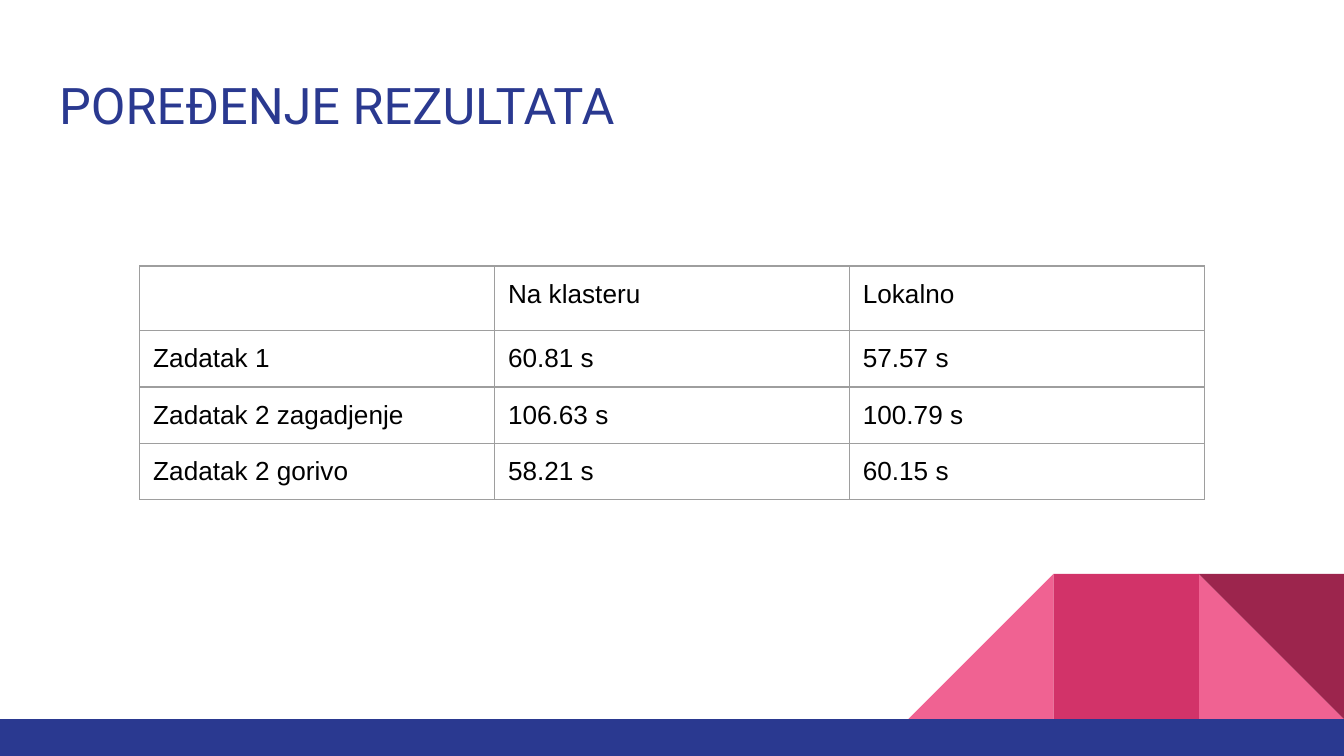
from lxml.etree import SubElement
from pptx import Presentation
from pptx.dml.color import RGBColor
from pptx.enum.shapes import MSO_SHAPE as Shape
from pptx.enum.text import MSO_ANCHOR as Anchor, PP_ALIGN as Align
from pptx.oxml.ns import qn
from pptx.util import Inches, Pt

WIDTH = 10
HEIGHT = WIDTH * 9 / 16
TILE = 1.08
BAR_TOP = 5.35
INSET = Inches(0.1)

BLUE = RGBColor(0x2A, 0x39, 0x90)
PINK = RGBColor(0xF0, 0x62, 0x92)
ROSE = RGBColor(0xD2, 0x33, 0x69)
WINE = RGBColor(0x9C, 0x25, 0x4D)
GRAY = RGBColor(0x9E, 0x9E, 0x9E)
BLACK = RGBColor(0, 0, 0)
WHITE = RGBColor(0xFF, 0xFF, 0xFF)

RESULTS = [
    ("", "Na klasteru", "Lokalno"),
    ("Zadatak 1", "60.81 s", "57.57 s"),
    ("Zadatak 2 zagadjenje", "106.63 s", "100.79 s"),
    ("Zadatak 2 gorivo", "58.21 s", "60.15 s"),
]


def add_block(slide, kind, left, top, width, height, color):
    """Add a plain filled shape without outline or shadow."""
    shape = slide.shapes.add_shape(
        kind, Inches(left), Inches(top), Inches(width), Inches(height))
    shape.shadow.inherit = False
    shape.fill.solid()
    shape.fill.fore_color.rgb = color
    shape.line.fill.background()
    return shape


def add_tile(slide, kind, column, color):
    """Add a square tile above the bar, counting columns from the right edge."""
    return add_block(slide, kind, WIDTH - column * TILE, BAR_TOP - TILE,
                     TILE, TILE, color)


def add_decoration(slide):
    """Add the folded ribbon and the bar at the foot of the slide."""
    add_tile(slide, Shape.RIGHT_TRIANGLE, 1, PINK)
    slope = add_tile(slide, Shape.RIGHT_TRIANGLE, 3, PINK)
    slope._element.spPr.find(qn("a:xfrm")).set("flipH", "1")
    add_tile(slide, Shape.RECTANGLE, 2, ROSE)
    add_tile(slide, Shape.RIGHT_TRIANGLE, 1, WINE).rotation = 180
    add_block(slide, Shape.RECTANGLE, 0, BAR_TOP, WIDTH, HEIGHT - BAR_TOP, BLUE)


def set_insets(target):
    """Give a text frame or table cell even insets."""
    target.margin_left = target.margin_right = INSET
    target.margin_top = target.margin_bottom = INSET


def write_text(frame, text, font_name, size, color):
    """Write one left-aligned run."""
    paragraph = frame.paragraphs[0]
    paragraph.alignment = Align.LEFT
    run = paragraph.add_run()
    run.text = text
    run.font.name = font_name
    run.font.size = Pt(size)
    run.font.color.rgb = color


def set_title(slide, text):
    """Place and format the title placeholder."""
    title = slide.shapes.title
    title.left, title.top = Inches(0.34), Inches(0.45)
    title.width, title.height = Inches(9.32), Inches(0.66)
    title.text_frame.vertical_anchor = Anchor.TOP
    set_insets(title.text_frame)
    write_text(title.text_frame, text, "Roboto", 27, BLUE)


def set_borders(cell):
    """Draw a thin gray line on every side of a cell."""
    properties = cell._tc.get_or_add_tcPr()
    for side in ("lnL", "lnR", "lnT", "lnB"):
        line = SubElement(properties, qn(f"a:{side}"), w=str(Pt(0.75)))
        fill = SubElement(line, qn("a:solidFill"))
        SubElement(fill, qn("a:srgbClr"), val=str(GRAY))


def add_results(slide):
    """Add the table that compares running times."""
    column_width, row_height, header_height = 2.64, 0.42, 0.48
    row_count, column_count = len(RESULTS), len(RESULTS[0])
    table = slide.shapes.add_table(
        row_count, column_count, Inches(1.04), Inches(1.98),
        Inches(column_count * column_width),
        Inches(header_height + (row_count - 1) * row_height)).table
    table.first_row = table.horz_banding = False
    for column in table.columns:
        column.width = Inches(column_width)
    for index, texts in enumerate(RESULTS):
        table.rows[index].height = Inches(row_height if index else header_height)
        for cell, text in zip(table.rows[index].cells, texts):
            set_borders(cell)
            cell.fill.background()
            set_insets(cell)
            write_text(cell.text_frame, text, "Arial", 14, BLACK)


def main():
    """Build the slide and save it."""
    presentation = Presentation()
    presentation.slide_width = Inches(WIDTH)
    presentation.slide_height = Inches(HEIGHT)
    slide = presentation.slides.add_slide(presentation.slide_layouts[5])
    slide.background.fill.solid()
    slide.background.fill.fore_color.rgb = WHITE
    add_decoration(slide)
    set_title(slide, "POREĐENJE REZULTATA")
    add_results(slide)
    presentation.save("out.pptx")


if __name__ == "__main__":
    main()
